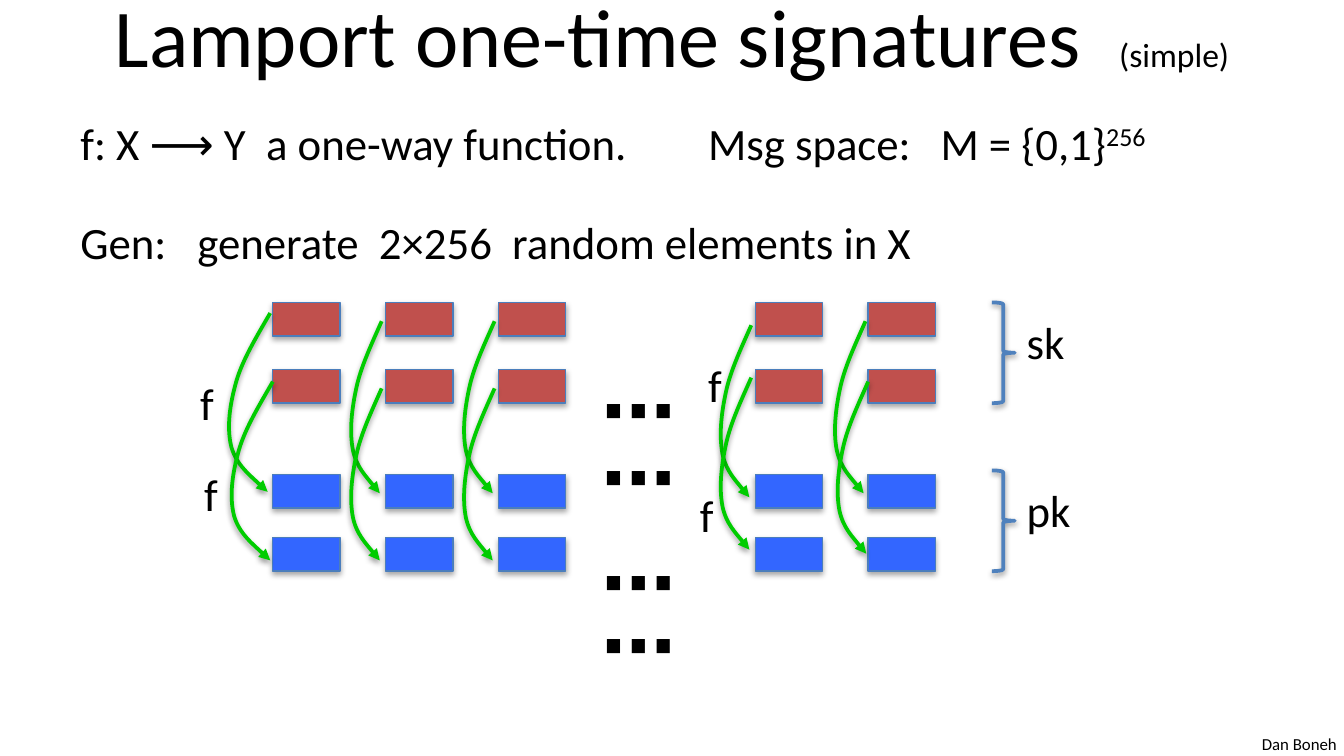
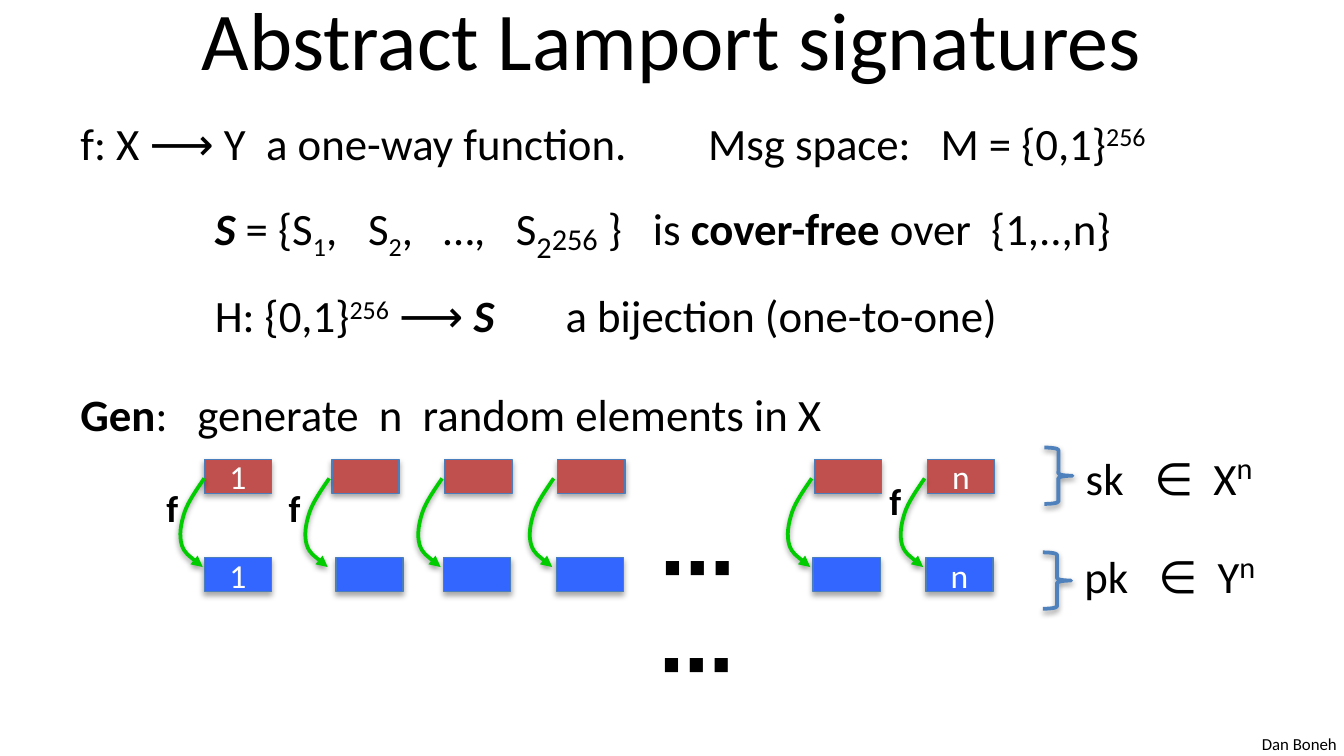
from lxml.etree import SubElement
from pptx import Presentation
from pptx.dml.color import RGBColor
from pptx.enum.shapes import MSO_SHAPE
from pptx.enum.text import MSO_ANCHOR, MSO_AUTO_SIZE, PP_ALIGN
from pptx.oxml.ns import qn
from pptx.util import Inches, Pt

BLACK = RGBColor(0x00, 0x00, 0x00)
WHITE = RGBColor(0xFF, 0xFF, 0xFF)
RED = RGBColor(0xC0, 0x50, 0x4D)
BLUE = RGBColor(0x33, 0x66, 0xFF)
GREEN = RGBColor(0x00, 0xCC, 0x00)
EDGE = RGBColor(0x4B, 0x7E, 0xBC)
BRACE = RGBColor(0x4F, 0x81, 0xBD)
FONT = "Calibri"

KEY_W, KEY_H, KEY_STEP = 0.5, 0.25, 0.84
DOTS_DROP = 0.67
CURVE = [(-0.32, 0.13), (-0.66, 0.26), (-0.81, 0.38),
         (-0.97, 0.51), (-1.05, 0.64), (-0.93, 0.75),
         (-0.81, 0.85), (-0.06, 1), (-0.06, 1)]

SUP = {"baseline": 30}
SUB = {"baseline": -25}
BOLD = {"bold": True}
SET_S = {"bold": True, "italic": True}
FUNCTION_LINE = {
    "text": [("f: X ⟶ Y  a one-way function.\tMsg space:\tM = {0,1}", {}), ("256", SUP)],
    "tabs": [4.67, 6.4],
}


def write(p, text, *, size=24, color=BLACK, bold=False, italic=False, baseline=0):
    r = p.add_run()
    r.text = text
    f = r.font
    f.name, f.size, f.bold, f.italic = FONT, Pt(size), bold, italic
    f.color.rgb = color
    if baseline:
        r._r.get_or_add_rPr().set("baseline", str(baseline * 1000))


def write_line(p, text, *, tabs=(), before=0, align=None, **fmt):
    p.alignment = align
    if before:
        p.space_before = Pt(before)
    if tabs:
        tab_list = SubElement(p._p.get_or_add_pPr(), qn("a:tabLst"))
        for pos in tabs:
            SubElement(tab_list, qn("a:tab"), pos=str(Inches(pos)), algn="l")
    for part, own in [(text, {})] if isinstance(text, str) else text:
        write(p, part, **{**fmt, **own})


def add_box(s, x, y, w, h, *, wrap=False):
    tf = s.shapes.add_textbox(Inches(x), Inches(y), Inches(w), Inches(h)).text_frame
    tf.word_wrap = wrap
    if not wrap:
        tf.auto_size = MSO_AUTO_SIZE.SHAPE_TO_FIT_TEXT
    return tf


def add_label(s, text, x, y, w, h=0.5, *, wrap=False, **fmt):
    write_line(add_box(s, x, y, w, h, wrap=wrap).paragraphs[0], text, **fmt)


def add_title(s, text, y):
    tf = add_box(s, 0.5, y, 9, 0.94, wrap=True)
    tf.vertical_anchor = MSO_ANCHOR.MIDDLE
    write_line(tf.paragraphs[0], text, size=44, align=PP_ALIGN.CENTER)


def add_body(s, lines, h):
    tf = add_box(s, 0.5, 0.81, 9, h, wrap=True)
    for i, line in enumerate(lines):
        write_line(tf.add_paragraph() if i else tf.paragraphs[0], **line)


def add_dots(s, x, y):
    add_label(s, "⋯", x, y + DOTS_DROP, 0.74, 0.77, size=40, bold=True)


def set_shadow(sp, alpha, dist):
    sp.shadow.inherit = False
    effects = sp._element.spPr.find(qn("a:effectLst"))
    shadow = SubElement(effects, qn("a:outerShdw"), blurRad=str(Pt(3.1)),
                        dist=str(Pt(dist)), dir="5400000", rotWithShape="0")
    color = SubElement(shadow, qn("a:srgbClr"), val=str(BLACK))
    SubElement(color, qn("a:alpha"), val=str(alpha * 1000))


def set_outline(sp, color):
    sp.fill.background()
    sp.line.color.rgb = color
    sp.line.width = Pt(2)
    set_shadow(sp, 38, 1.6)


def add_key(s, x, y, fill, text=""):
    sp = s.shapes.add_shape(MSO_SHAPE.RECTANGLE, Inches(x), Inches(y),
                            Inches(KEY_W), Inches(KEY_H))
    sp.fill.solid()
    sp.fill.fore_color.rgb = fill
    sp.line.color.rgb = EDGE
    sp.line.width = Pt(0.75)
    set_shadow(sp, 35, 1.8)
    if text:
        tf = sp.text_frame
        tf.vertical_anchor = MSO_ANCHOR.MIDDLE
        write_line(tf.paragraphs[0], text, size=18, color=WHITE, align=PP_ALIGN.CENTER)


def add_brace(s, x, y, w, h):
    sp = s.shapes.add_shape(MSO_SHAPE.RIGHT_BRACE, Inches(x), Inches(y),
                            Inches(w), Inches(h))
    set_outline(sp, BRACE)


def add_curved_arrow(s, x, y, w, h):
    fb = s.shapes.build_freeform(Inches(x), Inches(y))
    fb.add_line_segments([(Inches(x + w * u), Inches(y + h * v)) for u, v in CURVE],
                         close=False)
    sp = fb.convert_to_shape()
    segments = list(sp._element.iter(qn("a:lnTo")))
    for i in range(0, len(segments), 3):
        outline = segments[i].getparent()
        bezier = SubElement(outline, qn("a:cubicBezTo"))
        for segment in segments[i:i + 3]:
            bezier.append(segment[0])
            outline.remove(segment)
    set_outline(sp, GREEN)
    SubElement(sp.line._get_or_add_ln(), qn("a:tailEnd"), type="triangle")


def new_slide(prs, title, title_y, lines, body_h):
    s = prs.slides.add_slide(prs.slide_layouts[6])
    add_label(s, "Dan Boneh", 9.29, 5.41, 0.76, 0.25, size=9)
    add_title(s, title, title_y)
    add_body(s, lines, body_h)
    return s


def one_time_slide(prs):
    s = new_slide(prs, [("Lamport one-time signatures  ", {}), ("(simple)", {"size": 18})],
                  -0.21, [
        FUNCTION_LINE,
        {"text": "Gen:\tgenerate  2×256  random elements in X", "tabs": [0.87], "before": 24.2},
    ], 1.25)
    columns = [2.03 + KEY_STEP * i for i in range(3)] + [5.62 + KEY_STEP * i for i in range(2)]
    for y, fill in [(2.25, RED), (2.75, RED), (3.53, BLUE), (4, BLUE)]:
        for x in columns:
            add_key(s, x, y, fill)
        add_dots(s, 4.38, y - 0.27)
    for y, name, w in [(2.25, "sk", 0.49), (3.5, "pk", 0.54)]:
        add_brace(s, 7.38, y, 0.17, 0.75)
        add_label(s, name, 7.54, y + 0.04, w)
    for x, y in [(2.01, 2.33), (2.03, 2.84)]:
        add_curved_arrow(s, x, y, 0.31, 1.33)
    for x, y in [(2.84, 2.39), (2.84, 2.89), (3.68, 2.39), (3.68, 2.89),
                 (5.59, 2.42), (5.59, 2.81), (6.44, 2.39), (6.46, 2.84)]:
        add_curved_arrow(s, x, y, 0.23, 1.28)
    for x, y in [(1.39, 2.75), (1.42, 3.42), (5.17, 2.61), (5.11, 3.58)]:
        add_label(s, "f", x, y, 0.3)


def abstract_slide(prs):
    cover_free = [
        ("\t", {}), ("S ", SET_S), ("= {S", {}), ("1", SUB), (",\tS", {}), ("2", SUB),
        (",\t…,\tS", {}), ("2", {"size": 28, **SUB}), ("256", {"size": 28, "baseline": -10}),
        (" }\tis ", {}), ("cover-free ", BOLD), ("over  {1,..,n}", {}),
    ]
    bijection = [("\tH: {0,1}", {}), ("256", SUP), (" ⟶ ", {}), ("S", SET_S),
                 ("\ta bijection (one-to-one)", {})]
    s = new_slide(prs, "Abstract Lamport signatures", -0.19, [
        FUNCTION_LINE,
        {"text": cover_free, "tabs": [1, 2.14, 2.7, 3.24, 4.26], "before": 12.7},
        {"text": bijection, "tabs": [1, 3.61], "before": 12.7},
        {"text": [("Gen", BOLD), (":\tgenerate  n  random elements in X", {})],
         "tabs": [0.87], "before": 24.2},
    ], 2.92)
    add_dots(s, 4.82, 3.15)
    add_dots(s, 4.81, 3.87)
    indices = ["1", "", "", "", "", "n"]
    for y, fill, columns in [(3.42, RED, [1.52, 2.47, 3.31, 4.15, 6.06, 6.9]),
                             (4.15, BLUE, [1.52, 2.5, 3.3, 4.14, 6.05, 6.89])]:
        for x, index in zip(columns, indices):
            add_key(s, x, y, fill, index)
    for x, y, label_y, name, space, tab in [(7.77, 3.33, 3.25, "sk", "X", 0.51),
                                            (7.76, 4.11, 3.98, "pk", "Y", 0.55)]:
        add_brace(s, x, y, 0.21, 0.42)
        add_label(s, [(f"{name}\t∈  {space}", {}), ("n", {"size": 28, **SUP})],
                  x + 0.21, label_y, 1.55, wrap=True, tabs=[tab])
    for x in [1.52, 2.45, 3.29, 4.12, 6.04, 6.88]:
        add_curved_arrow(s, x, 3.56, 0.18, 0.66)
    for x, y in [(1.14, 3.56), (2.05, 3.56), (6.52, 3.51)]:
        add_label(s, "f", x, y, 0.3, 0.44, size=20, bold=True)


def main():
    prs = Presentation()
    prs.slide_width = Inches(10)
    prs.slide_height = prs.slide_width * 9 // 16
    one_time_slide(prs)
    abstract_slide(prs)
    prs.save("out.pptx")


if __name__ == "__main__":
    main()
